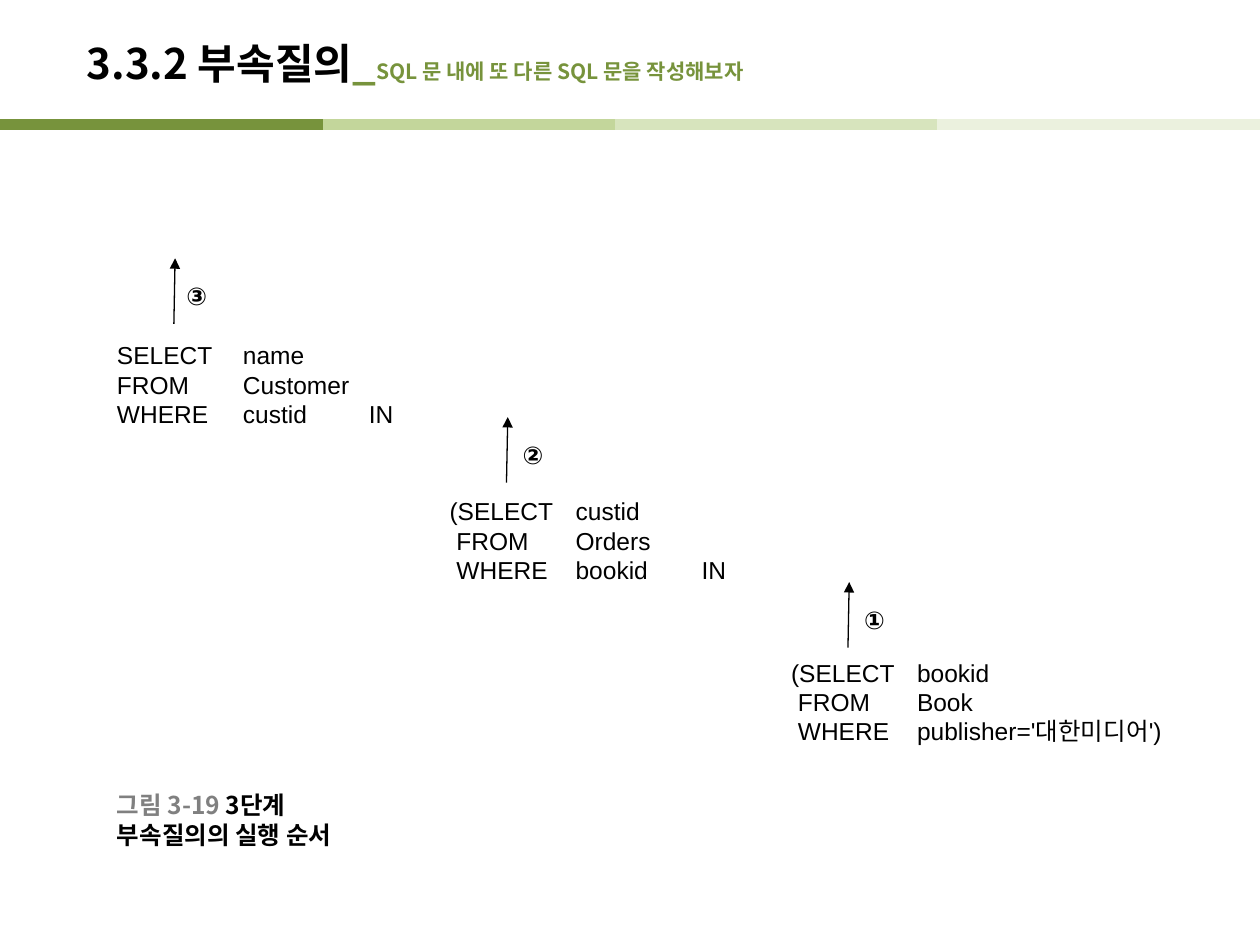
from dataclasses import dataclass

import pptx
import pptx.dml.color
import pptx.enum.shapes
import pptx.enum.text
import pptx.oxml
import pptx.oxml.ns
import pptx.util

COLOURS = {"black": "000000", "grey": "808080", "green": "77933C",
           "light": "C3D69B", "pale": "D7E4BD", "faint": "EBF1DE"}
KOREAN_FONT = "Noto Sans CJK KR"
CODE_FONT = "Arial"
COLUMNS, ROWS = 100, 75

deck = pptx.Presentation()
deck.slide_width = pptx.util.Inches(10)
deck.slide_height = pptx.util.Inches(7.5)
slide = deck.slides.add_slide(deck.slide_layouts[6])


@dataclass
class Piece:
    text: str
    size: float
    colour: str


@dataclass
class Step:
    number: str
    column: float
    row: float
    arrow_row: float
    number_column: float
    query: str


def across(columns: float) -> int:
    return round(deck.slide_width * columns / COLUMNS)


def down(rows: float) -> int:
    return round(deck.slide_height * rows / ROWS)


def rgb(colour: str) -> pptx.dml.color.RGBColor:
    return pptx.dml.color.RGBColor.from_string(COLOURS[colour])


def add_child(parent, tag: str, **attributes: str) -> None:
    child = pptx.oxml.parse_xml(f"<{tag} {pptx.oxml.ns.nsdecls('a')}/>")
    for key, value in attributes.items():
        child.set(key, value)
    parent.append(child)


def draw_line(start: tuple, end: tuple, colour: str, width: float, arrow: bool = False) -> None:
    line = slide.shapes.add_connector(
        pptx.enum.shapes.MSO_CONNECTOR.STRAIGHT,
        across(start[0]), down(start[1]), across(end[0]), down(end[1]))
    line.line.color.rgb = rgb(colour)
    line.line.width = pptx.util.Pt(width)
    if arrow:
        add_child(line.line._get_or_add_ln(), "a:headEnd", type="triangle")
    add_child(line._element.spPr, "a:effectLst")


def add_box(column: float, row: float, columns: float, rows: float, wrap: bool):
    frame = slide.shapes.add_textbox(
        across(column), down(row), across(columns), down(rows)).text_frame
    frame.word_wrap = wrap
    return frame


def write_code(frame, text: str, bold: bool = False) -> None:
    frame.auto_size = pptx.enum.text.MSO_AUTO_SIZE.SHAPE_TO_FIT_TEXT
    frame.text = text
    for paragraph in frame.paragraphs:
        paragraph.font.name = CODE_FONT
        paragraph.font.size = pptx.util.Pt(14)
        paragraph.font.bold = bold
        paragraph.font.color.rgb = rgb("black")


def write_heading(frame, pieces: list[Piece]) -> None:
    frame.vertical_anchor = pptx.enum.text.MSO_ANCHOR.MIDDLE
    paragraph = frame.paragraphs[0]
    paragraph.font.bold = True
    for piece in pieces:
        run = paragraph.add_run()
        run.text = piece.text
        run.font.bold = True
        run.font.size = pptx.util.Pt(piece.size)
        run.font.color.rgb = rgb(piece.colour)
        run.font.name = KOREAN_FONT
        add_child(run.font._element, "a:ea", typeface=KOREAN_FONT)


def draw_step(step: Step) -> None:
    query = add_box(step.column, step.row, 37, 8.1, wrap=True)
    write_code(query, step.query)
    for paragraph in query.paragraphs:
        paragraph.line_spacing = pptx.util.Pt(16.8)
    number = add_box(step.number_column, step.arrow_row + 1.3, 3.9, 3.4, wrap=False)
    write_code(number, step.number, bold=True)
    arrow_column = step.column + 5.6
    draw_line((arrow_column, step.arrow_row), (arrow_column - 0.1, step.arrow_row + 5.2),
              "black", 0.75, arrow=True)


# Divider: equal bands, the first one drawn last so that it lies on top
BAND, BAND_ROW = 25.6, 9.9
for index, band_colour in enumerate(("light", "pale", "faint")):
    band_start = 23.2 + index * BAND
    draw_line((band_start, BAND_ROW), (band_start + BAND, BAND_ROW), band_colour, 6)
draw_line((0, BAND_ROW), (BAND, BAND_ROW), "green", 6)

# Title
write_heading(add_box(5.9, 2, 82.7, 6, wrap=True), [
    Piece("3.3.2 부속질의", 24, "black"),
    Piece("_", 24, "green"),
    Piece("SQL 문 내에 또 다른 SQL 문을 작성해보자", 12, "green")])

# Nested queries, innermost first
STEPS = [
    Step("①", 61.8, 51.7, 46.2, 67.6,
         "(SELECT \tbookid\n FROM\tBook\n WHERE\tpublisher='대한미디어')"),
    Step("②", 34.7, 38.9, 33.1, 40.5,
         "(SELECT \tcustid\n FROM\tOrders\n WHERE\tbookid \tIN"),
    Step("③", 8.3, 26.5, 20.5, 13.8,
         "SELECT\tname\nFROM\tCustomer\nWHERE\tcustid \tIN"),
]
for nested_query in STEPS:
    draw_step(nested_query)

# Caption
write_heading(add_box(8.3, 63.5, 20.9, 3.1, wrap=False), [
    Piece("그림 3-19 ", 14, "grey"),
    Piece("3단계 부속질의의 실행 순서", 14, "black")])

deck.save("out.pptx")
